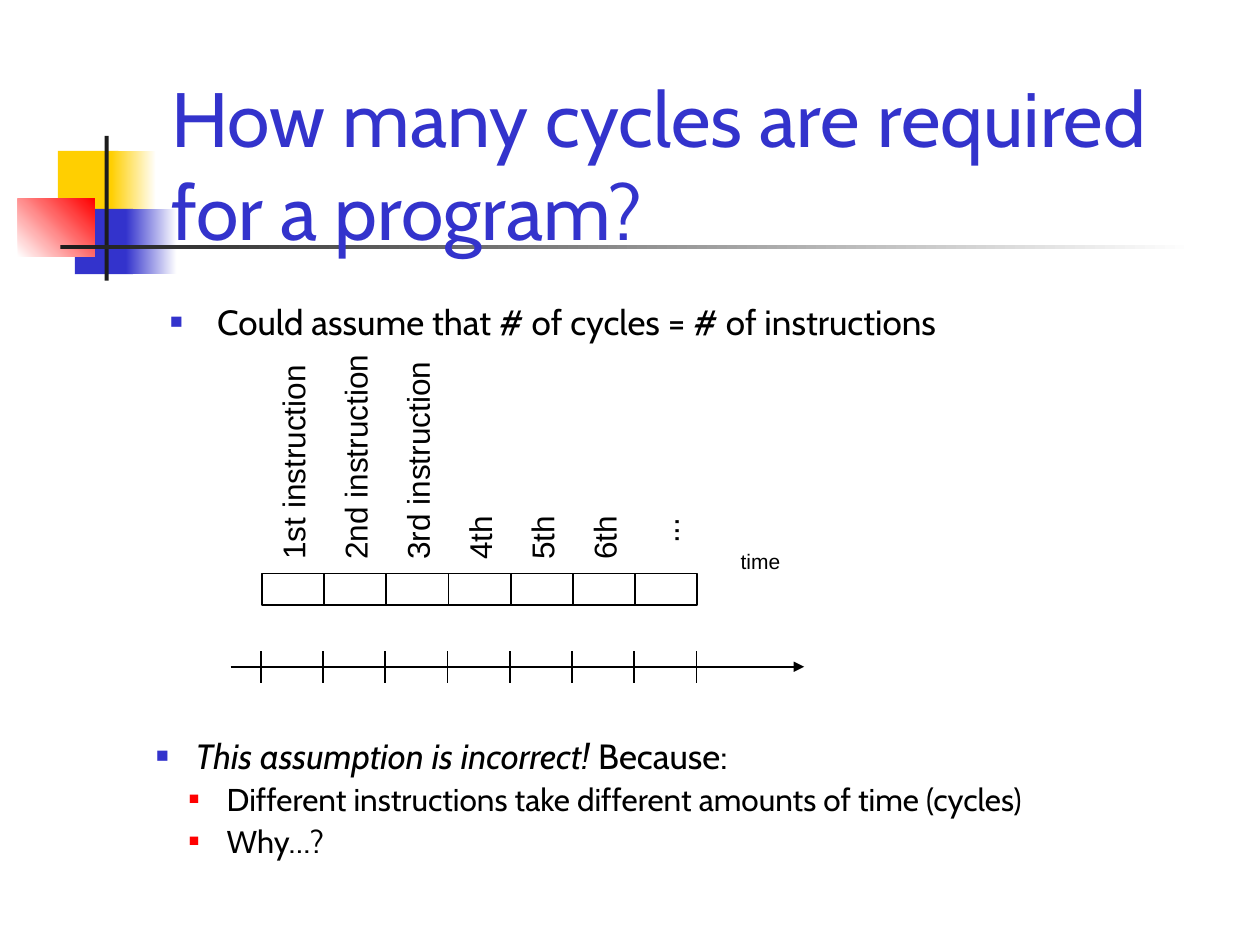
import pptx
import pptx.util
import pptx.dml.color
import pptx.enum.shapes
import pptx.enum.text
import pptx.oxml
import pptx.oxml.ns

Cm, Pt = pptx.util.Cm, pptx.util.Pt
RGB = pptx.dml.color.RGBColor
RECT = pptx.enum.shapes.MSO_SHAPE.RECTANGLE
LINE = pptx.enum.shapes.MSO_CONNECTOR.STRAIGHT
ANCHOR = pptx.enum.text.MSO_ANCHOR
FIT = pptx.enum.text.MSO_AUTO_SIZE

BLACK = RGB(0x00, 0x00, 0x00)
WHITE = RGB(0xFF, 0xFF, 0xFF)
BLUE = RGB(0x33, 0x33, 0xCC)
RED = RGB(0xFF, 0x00, 0x00)
GOLD = RGB(0xFF, 0xCF, 0x01)
DARK = RGB(0x1C, 0x1C, 0x1C)


def add_node(parent, tag, **attrs):
    node = pptx.oxml.parse_xml(f"<a:{tag} {pptx.oxml.ns.nsdecls('a')}/>")
    for key, val in attrs.items():
        node.set(key, str(val))
    parent.append(node)
    return node


def add_rect(slide, left, top, wide, high, fill, end=None, turn=0, edge=None):
    """Add a rectangle, plain or fading from fill to end."""
    rect = slide.shapes.add_shape(RECT, Cm(left), Cm(top), Cm(wide), Cm(high))
    rect.shadow.inherit = False
    if end is None:
        rect.fill.solid()
        rect.fill.fore_color.rgb = fill
    else:
        rect.fill.gradient()
        rect.fill.gradient_angle = turn
        for stop, color in zip(rect.fill.gradient_stops, (fill, end)):
            stop.color.rgb = color
    if edge is None:
        rect.line.fill.background()
    else:
        rect.line.color.rgb = edge
        rect.line.width = Pt(1)


def add_line(slide, x1, y1, x2, y2, arrow=False):
    line = slide.shapes.add_connector(LINE, Cm(x1), Cm(y1), Cm(x2), Cm(y2))
    line.line.color.rgb = BLACK
    line.line.width = Pt(1)
    if arrow:
        add_node(line.line._get_or_add_ln(), "tailEnd", type="triangle")
    add_node(line._element.spPr, "effectLst")


def add_run(para, text, size, font="Cabin", color=BLACK, slant=None):
    run = para.add_run()
    run.text = text
    run.font.size, run.font.name = Pt(size), font
    run.font.color.rgb = color
    run.font.italic = slant


def add_box(slide, left, top, wide, high, pad_x=0.25, pad_y=0.13):
    box = slide.shapes.add_textbox(Cm(left), Cm(top), Cm(wide), Cm(high))
    frame = box.text_frame
    frame.word_wrap = True
    frame.margin_left = frame.margin_right = Cm(pad_x)
    frame.margin_top = frame.margin_bottom = Cm(pad_y)
    return box


def set_mark(para, left, hang, color, scale, before):
    """Give a paragraph a square bullet and a hanging indent."""
    para.space_before = Pt(before)
    props = para._p.get_or_add_pPr()
    props.set("marL", str(Cm(left)))
    props.set("indent", str(-Cm(hang)))
    add_node(add_node(props, "buClr"), "srgbClr", val=color)
    add_node(props, "buSzPct", val=scale * 1000)
    add_node(props, "buFont", typeface="Arial")
    add_node(props, "buChar", char="■")


def add_decor(slide, left, top):
    # Overlapping squares
    add_rect(slide, left + 0.81, top + 0.3, 1.22, 1.32, GOLD)
    add_rect(slide, left + 1.88, top + 0.3, 0.91, 1.32, GOLD, WHITE)
    add_rect(slide, left + 1.15, top + 1.47, 1.17, 1.32, BLUE)
    add_rect(slide, left + 2.18, top + 1.47, 1.02, 1.32, BLUE, WHITE)
    add_rect(slide, left, top + 1.27, 1.55, 1.17, WHITE, RED, 45)
    # Crossing bars
    add_rect(slide, left + 1.75, top, 0.08, 2.92, DARK)
    add_rect(slide, left + 0.86, top + 2.2, 22.86, 0.09, DARK, WHITE)


def add_title(slide, left, top, wide, high):
    title = slide.shapes.title
    title.left, title.top = Cm(left), Cm(top)
    title.width, title.height = Cm(wide), Cm(high)
    frame = title.text_frame
    frame.auto_size = FIT.NONE
    frame.vertical_anchor = ANCHOR.MIDDLE
    para = frame.paragraphs[0]
    para.alignment = pptx.enum.text.PP_ALIGN.LEFT
    add_run(para, "How many cycles are required for a program?", 44, color=BLUE)
    # Bring the title in front of the bars
    slide.shapes._spTree.append(title._element)


def add_lead(slide, left, top, wide, high):
    para = add_box(slide, left, top, wide, high).text_frame.paragraphs[0]
    set_mark(para, 0.95, 0.95, BLUE, 60, 5)
    add_run(para, "Could assume that # of cycles = # of instructions", 20)


def add_label(slide, mid, base, long, text):
    """Add a label that reads upwards from base, centred on mid."""
    high = 1.09
    box = add_box(slide, mid - long / 2, base - long / 2 - high / 2,
                  long, high, 0.05, 0.08)
    box.rotation = 270
    para = box.text_frame.paragraphs[0]
    para.line_spacing = Pt(21)
    add_run(para, text, 18, "Arial")


def add_chain(slide, left, top, wide):
    names = ["1st instruction", "2nd instruction", "3rd instruction",
             "4th", "5th", "6th", "..."]
    step = wide / len(names)
    # Time axis with ticks
    axis = top + 7.8
    add_line(slide, left - 0.61, axis, left + 10.95, axis, arrow=True)
    for i in range(len(names) + 1):
        x = left + i * step
        add_line(slide, x, axis + 0.32, x, axis - 0.32)
    # Instruction cells and their labels
    for i, name in enumerate(names):
        x = left + i * step
        long = 4.55 if "instruction" in name else 1.7
        base = top + (5.37 if name == "..." else 5.69)
        add_label(slide, x + 0.75, base, long, name)
        add_rect(slide, x + 0.02, top + 5.92, step, 0.64, WHITE, edge=BLACK)
    # Axis caption
    box = add_box(slide, left + 9.62, top + 5.36, 1.96, 0.84, 0.05, 0.08)
    para = box.text_frame.paragraphs[0]
    para.line_spacing = Pt(14)
    add_run(para, "time", 12, "Arial")


def add_reason(slide, left, top, wide, high):
    frame = add_box(slide, left, top, wide, high).text_frame
    para = frame.paragraphs[0]
    para.line_spacing = 1.4
    set_mark(para, 0.79, 0.79, BLUE, 60, 5)
    add_run(para, "This assumption is incorrect!", 20, slant=True)
    add_run(para, " Because:", 20)
    for text in ("Different instructions take different amounts of time (cycles)",
                 "Why…?"):
        para = frame.add_paragraph()
        para.level = 1
        para.line_spacing = 0.9
        set_mark(para, 1.42, 0.76, RED, 55, 4.5)
        add_run(para, text, 18)


def main():
    deck = pptx.Presentation()
    deck.slide_width, deck.slide_height = Cm(25.4), Cm(19.05)
    slide = deck.slides.add_slide(deck.slide_layouts[5])
    add_decor(slide, 0.36, 2.74)
    add_lead(slide, 3.18, 5.92, 21.59, 11.43)
    add_chain(slide, 5.26, 5.64, 8.78)
    add_title(slide, 3.2, 1.7, 21.64, 3.18)
    add_reason(slide, 2.9, 14.33, 20.17, 3.12)
    deck.save("out.pptx")


if __name__ == "__main__":
    main()
